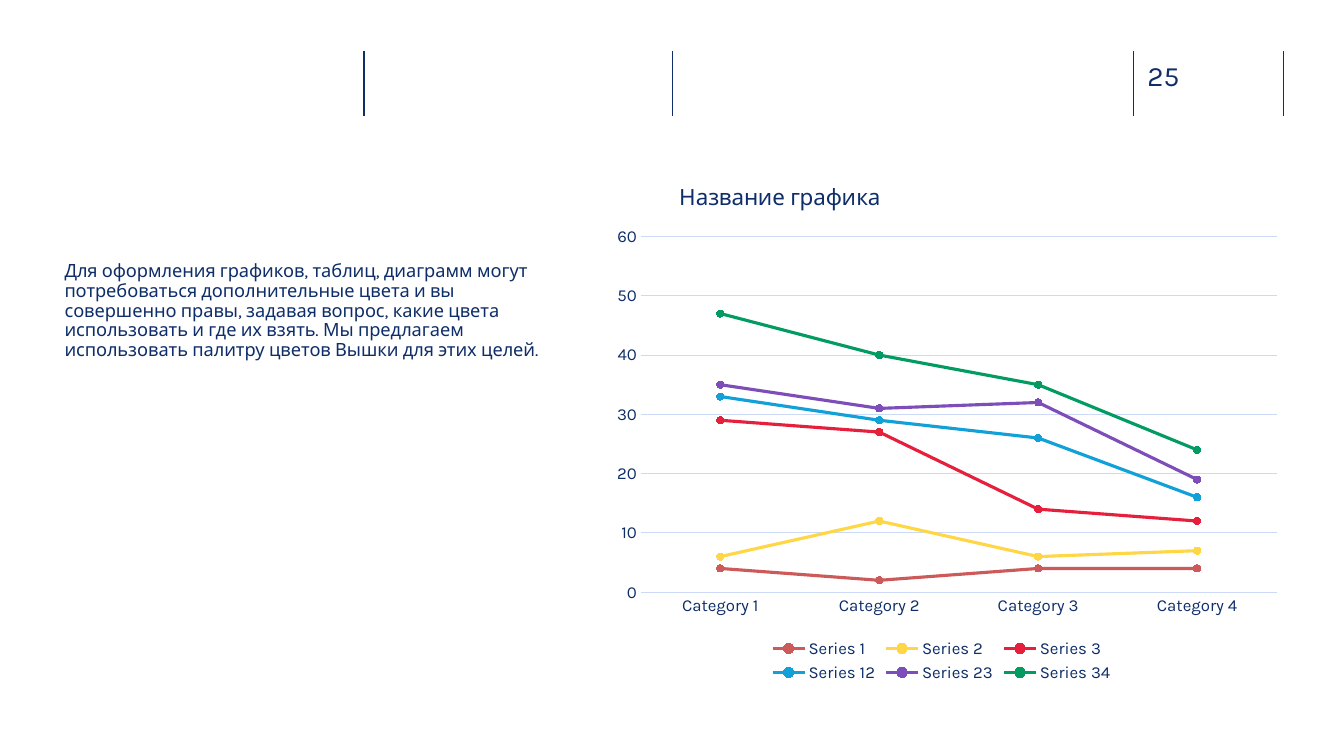
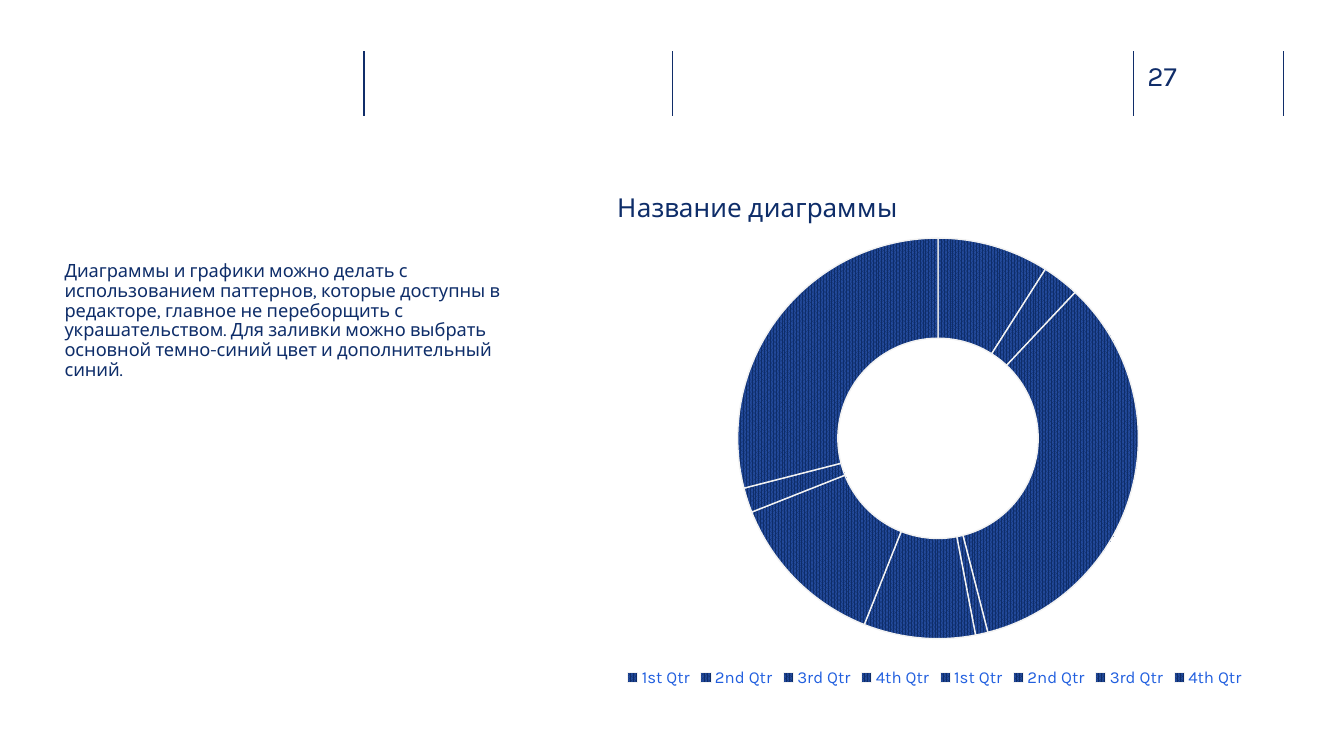
from lxml import etree
from pptx import Presentation
from pptx import util as u
from pptx.chart import data as chart_data
from pptx.dml import color
from pptx.enum import chart as ch, dml, shapes, text
from pptx.oxml.ns import qn

COLORS = {
    "rule": "102D69", "ink": "0E2D69", "base": "0F2C68", "grid": "CCDAF8",
    "legend": "215FDF", "pattern": "234A9B", "gap": "F2F2F2", "paper": "FFFFFF",
    "coral": "CD5A5A", "yellow": "FFD746", "red": "E61F3D", "sky": "11A0D7",
    "violet": "7D4EBA", "plum": "96628C", "green": "029C63",
}
FONT = "Karla"
RULES_X = (3.61, 6.67, 11.24, 12.73)


def rgb(name):
    return color.RGBColor.from_string(COLORS[name])


class Deck:
    """Holds the shared style and the current slide, and draws each kind of element."""

    def __init__(self):
        self.prs = Presentation()
        self.prs.slide_width = u.Inches(13.33)
        self.prs.slide_height = u.Inches(7.5)
        self.slide = None

    def new_slide(self, number):
        self.slide = self.prs.slides.add_slide(self.prs.slide_layouts[6])
        background = self.slide.background.fill
        background.solid()
        background.fore_color.rgb = rgb("paper")
        for x in RULES_X:
            self.rule(x)
        self.text(number, (11.38, 0.58, 0.73, 0.34), 20, "rule")

    def rule(self, x, top=0.51, bottom=1.15):
        line = self.slide.shapes.add_connector(
            shapes.MSO_CONNECTOR.STRAIGHT,
            u.Inches(x), u.Inches(top), u.Inches(x), u.Inches(bottom))
        line.line.color.rgb = rgb("rule")
        line.line.width = u.Pt(1)
        etree.SubElement(line._element.spPr, qn("a:effectLst"))

    def style(self, font, size, name):
        font.name = FONT
        font.size = u.Pt(size)
        font.bold = False
        font.color.rgb = rgb(name)

    def text(self, words, box, size, name, spacing=1.0, bottom=0):
        frame = self.slide.shapes.add_textbox(*map(u.Inches, box)).text_frame
        frame.word_wrap = True
        frame.vertical_anchor = text.MSO_ANCHOR.TOP
        frame.margin_left = frame.margin_top = frame.margin_right = 0
        frame.margin_bottom = u.Inches(bottom)
        paragraph = frame.paragraphs[0]
        paragraph.line_spacing = spacing
        run = paragraph.add_run()
        run.text = words
        self.style(run.font, size, name)

    def body(self, words):
        self.text(words, (0.64, 2.6, 4.73, 2.62), 13, "ink", 0.9, 0.05)

    def place(self, parent, index, inner=False, **fractions):
        for old in parent.findall(qn("c:layout")):
            parent.remove(old)
        layout = etree.Element(qn("c:layout"))
        manual = etree.SubElement(layout, qn("c:manualLayout"))
        if inner:
            etree.SubElement(manual, qn("c:layoutTarget")).set("val", "inner")
        for axis in "xy":
            etree.SubElement(manual, qn(f"c:{axis}Mode")).set("val", "edge")
        for key, value in fractions.items():
            etree.SubElement(manual, qn(f"c:{key}")).set("val", str(value))
        parent.insert(index, layout)

    def chart(self, kind, box, categories, series, title, title_size, title_at,
              plot_at, legend_color):
        data = chart_data.CategoryChartData()
        data.categories = categories
        for name, values in series:
            data.add_series(name, values)
        chart = self.slide.shapes.add_chart(kind, *map(u.Inches, box), data).chart
        self.style(chart.font, 10, "base")
        heading = chart.chart_title
        run = heading.text_frame.paragraphs[0].add_run()
        run.text = title
        self.style(run.font, title_size, "ink")
        heading.include_in_layout = False
        self.place(heading._element, 1, x=title_at[0], y=title_at[1])
        plot_area = chart._chartSpace.chart.plotArea
        self.place(plot_area, 0, True, **dict(zip("xywh", plot_at)))
        chart.has_legend = True
        chart.legend.position = ch.XL_LEGEND_POSITION.BOTTOM
        chart.legend.include_in_layout = False
        self.style(chart.legend.font, 12, legend_color)
        return chart

    def line_chart(self, box, categories, series, **layout):
        chart = self.chart(ch.XL_CHART_TYPE.LINE_MARKERS_STACKED, box, categories,
                           [row[:2] for row in series], legend_color="ink", **layout)
        for axis in (chart.category_axis, chart.value_axis):
            axis.major_tick_mark = axis.minor_tick_mark = ch.XL_TICK_MARK.NONE
            self.style(axis.tick_labels.font, 12, "ink")
        values = chart.value_axis
        values.minimum_scale, values.maximum_scale, values.major_unit = 0, 60, 10
        values.format.line.fill.background()
        for grid in (chart.category_axis.format.line, values.major_gridlines.format.line):
            grid.color.rgb = rgb("grid")
            grid.width = u.Pt(0.75)
        plot = chart.plots[0]
        plot.vary_by_categories = False
        for trend, (_, _, line_color, marker_color) in zip(plot.series, series):
            trend.smooth = False
            trend.format.line.color.rgb = rgb(line_color)
            trend.format.line.width = u.Pt(2.25)
            marker = trend.marker
            marker.style = ch.XL_MARKER_STYLE.CIRCLE
            marker.size = 5
            marker.format.fill.solid()
            marker.format.fill.fore_color.rgb = rgb(marker_color)
            marker.format.line.color.rgb = rgb(marker_color)

    def doughnut(self, box, categories, values, hole, **layout):
        chart = self.chart(ch.XL_CHART_TYPE.DOUGHNUT, box, categories,
                           [("Series 1", values)], legend_color="legend", **layout)
        plot = chart.plots[0]
        plot.vary_by_categories = True
        plot._element.find(qn("c:holeSize")).set("val", str(hole))
        for index in range(len(values)):
            sector = plot.series[0].points[index].format
            sector.fill.patterned()
            sector.fill.pattern = dml.MSO_PATTERN.PERCENT_80
            sector.fill.fore_color.rgb = rgb("ink")
            sector.fill.back_color.rgb = rgb("pattern")
            sector.line.color.rgb = rgb("gap")
            sector.line.width = u.Pt(1)


def main():
    deck = Deck()

    deck.new_slide("25")
    deck.body("Для оформления графиков, таблиц, диаграмм могут потребоваться "
              "дополнительные цвета и вы совершенно правы, задавая вопрос, какие цвета "
              "использовать и где их взять. Мы предлагаем использовать палитру цветов "
              "Вышки для этих целей.")
    deck.line_chart(
        (5.95, 1.62, 6.78, 5.19),
        [f"Category {n}" for n in range(1, 5)],
        [("Series 1", (4, 2, 4, 4), "coral", "coral"),
         ("Series 2", (2, 10, 2, 3), "yellow", "yellow"),
         ("Series 3", (23, 15, 8, 5), "red", "red"),
         ("Series 12", (4, 2, 12, 4), "sky", "sky"),
         ("Series 23", (2, 2, 6, 3), "violet", "plum"),
         ("Series 34", (12, 9, 3, 5), "green", "green")],
        title="Название графика", title_size=16, title_at=(0.11, 0.03),
        plot_at=(0.06, 0.14, 0.93, 0.68))

    deck.new_slide("27")
    deck.body("Диаграммы и графики можно делать с использованием паттернов, которые "
              "доступны в редакторе, главное не переборщить с украшательством. Для "
              "заливки можно выбрать основной темно-синий цвет и дополнительный синий.")
    deck.doughnut(
        (5.87, 1.63, 6.8, 5.23),
        ["1st Qtr", "2nd Qtr", "3rd Qtr", "4th Qtr"] * 2,
        (9, 3, 34, 1, 9, 13, 2, 29), 42,
        title="Название диаграммы", title_size=18.6, title_at=(0.03, 0.04),
        plot_at=(0.21, 0.14, 0.59, 0.76))

    deck.prs.save("out.pptx")


if __name__ == "__main__":
    main()
